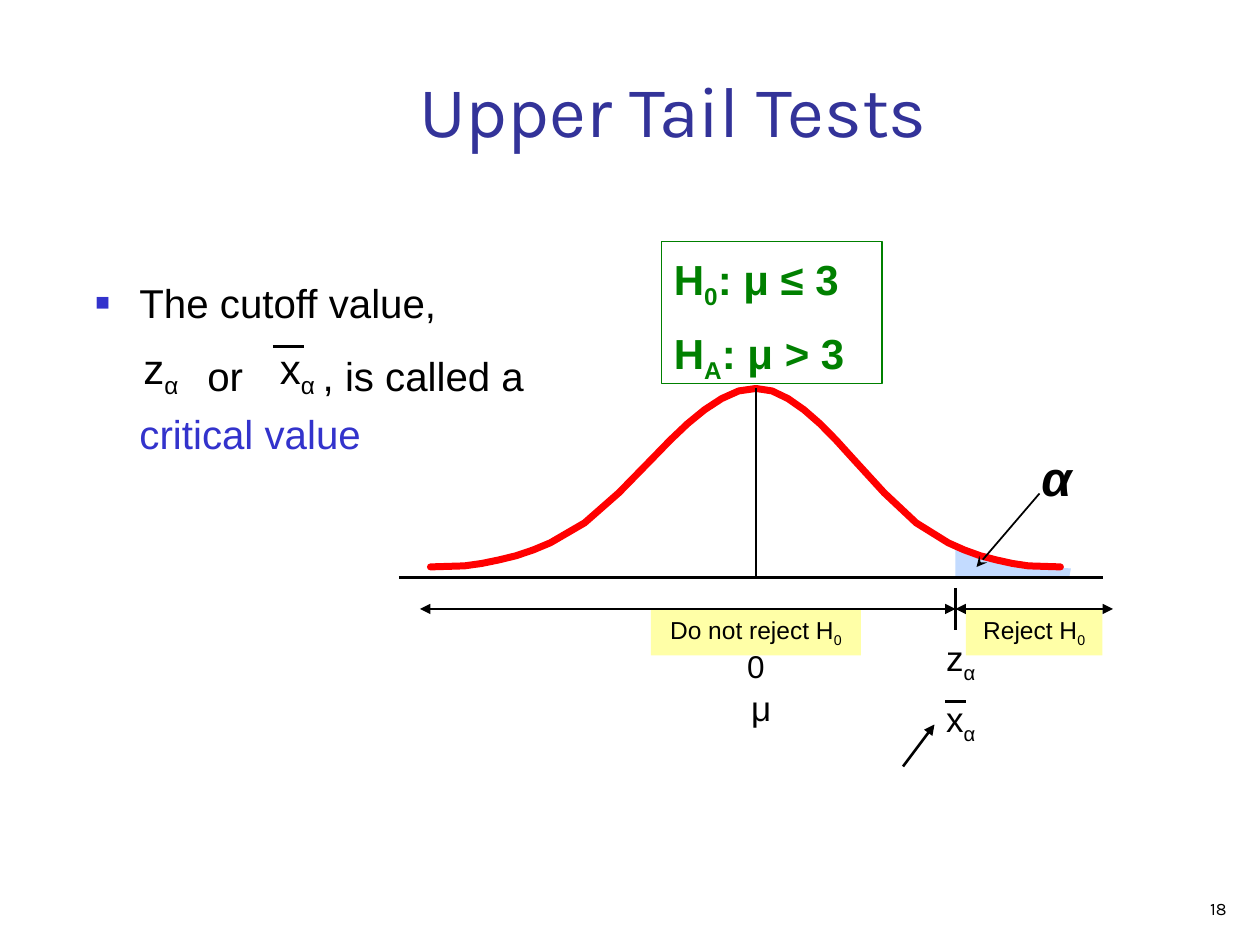
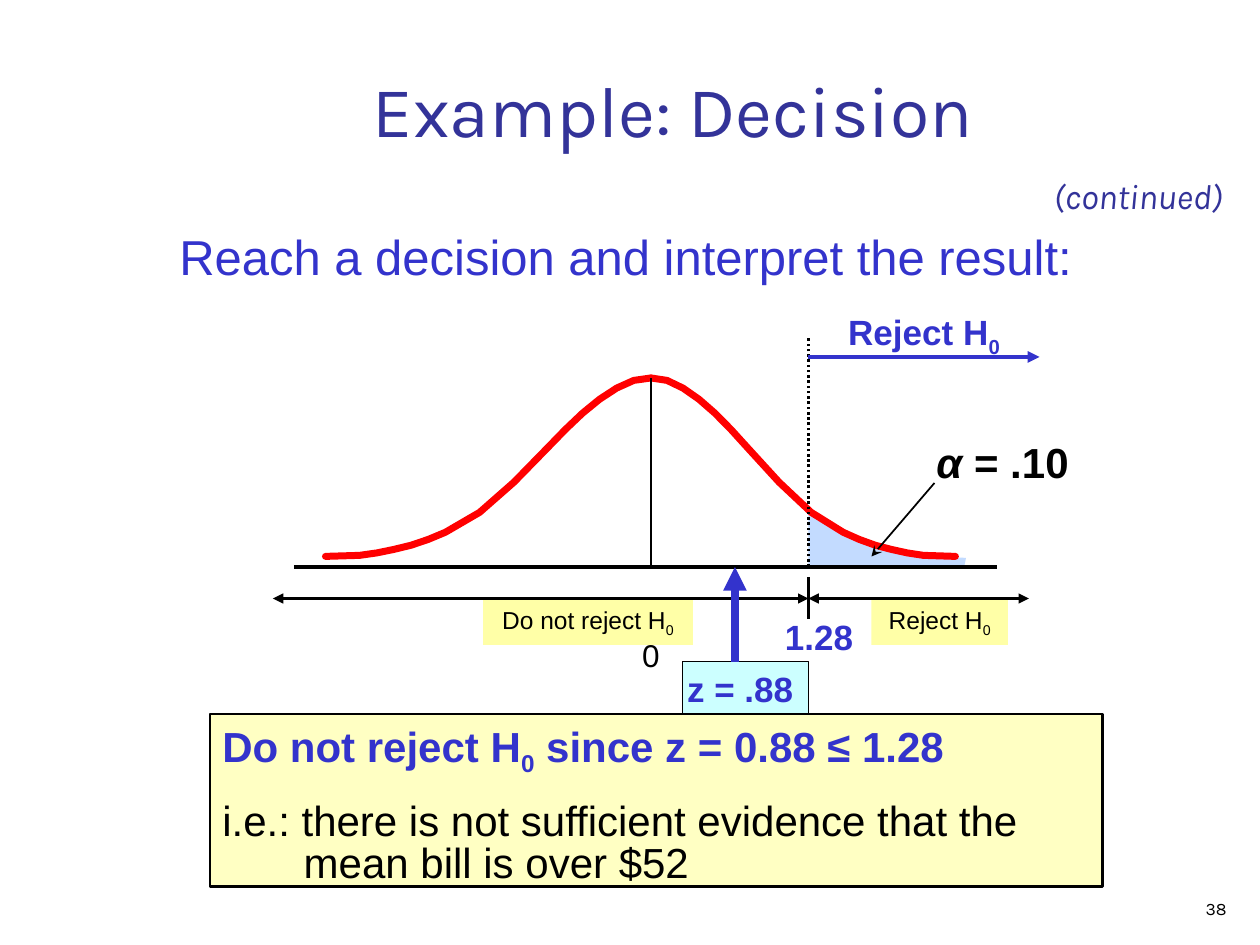
from lxml.etree import SubElement
from pptx import Presentation
from pptx.dml.color import RGBColor
from pptx.enum.dml import MSO_LINE
from pptx.enum.shapes import MSO_CONNECTOR, MSO_SHAPE
from pptx.enum.text import MSO_ANCHOR, MSO_AUTO_SIZE, PP_ALIGN
from pptx.oxml.ns import qn
from pptx.util import Pt

COLORS = dict(black="000000", blue="3333CC", title="333399", green="008000", curve="FF0000",
              tail="C3DBFF", band="FFFFA7", verdict="FFFFC3", score="CCFFFF")
LEFT, CENTER, RIGHT = PP_ALIGN.LEFT, PP_ALIGN.CENTER, PP_ALIGN.RIGHT

# "_" puts the next character in subscript.
TITLES = ["Upper Tail Tests", "Example: Decision"]
PAGE_NUMBERS = ["18", "38"]
CUTOFF_NOTE = [  # pieces, colour, space before, left margin
    (["The cutoff value,"], "black", 0, 25.2),
    (["or", " ", ", is called a"], "black", 8.6, 64),
    (["critical value"], "blue", 0, 25.2),
]
SYMBOL_GAP = 39  # extra width of the space that holds the second symbol
HYPOTHESES = [("H_0: μ ≤ 3", 1.1), ("H_A: μ > 3", 0.7)]
TASK = "Reach a decision and interpret the result:"
VERDICT = [  # text, colour, bold, line spacing, left margin
    ("Do not reject H_0 since z = 0.88 ≤ 1.28", "blue", True, None, 0),
    ("i.e.: there is not sufficient evidence that the", "black", False, 0.8, 0),
    ("mean bill is over $52", "black", False, 0.2, 46.5),
]
# text, left, top, width, height, size
CUTOFF_SYMBOLS = [
    ("z_α", 66, 192, 52, 40, 24),
    ("x_α", 150, 192, 40, 40, 24),
    ("z_α", 528, 360, 42, 35, 20),
    ("x_α", 528, 395, 42, 35, 20),
    ("μ", 414, 389, 42, 32, 20),
]
OVERBARS = [(156, 198, 173.5, 198), (540, 401, 552, 401)]

# Bell curve: offsets from the peak; each half is divided in 19 steps.
CURVE_STEPS = [0, 2, 3, 4, 5, 6, 7, 9, 11, 13, 14, 15, 16, 17, 18, 19]
CURVE_DROPS = [102, 101.4, 100, 98, 95.6, 92.3, 88.2, 76.8, 59.6, 39.6, 29.5, 20.2, 12.2, 5.8, 1.4, 0]
CURVE_HALVES = [-186, 174]
TAIL_EDGE = [(90, 75.6), (114, 90), (123, 94.3), (132, 96.3), (151, 101.4), (180, 102.8)]
AXIS_DROP, RANGE_DROP = 108, 126


def rgb(name):
    return RGBColor.from_string(COLORS[name])


def write(paragraph, text, size, color="black", bold=False, italic=False, font="Arial", gap=0):
    """Append text, with the character after each "_" in subscript and gap added to each character."""
    first, *rest = text.split("_")
    pieces = [(first, False)]
    for part in rest:
        pieces += [(part[0], True), (part[1:], False)]
    for piece, subscript in pieces:
        if not piece:
            continue
        run = paragraph.add_run()
        run.text = piece
        run.font.name, run.font.size = font, Pt(size)
        run.font.bold, run.font.italic = bold, italic
        run.font.color.rgb = rgb(color)
        if subscript:
            run.font._element.set("baseline", "-25000")
        if gap:
            run.font._element.set("spc", str(gap * 100))


def space(paragraph, before=0, lines=None, align=LEFT):
    paragraph.space_before = Pt(before)
    paragraph.alignment = align
    if lines:
        paragraph.line_spacing = lines


def indent(paragraph, margin, first=0):
    properties = paragraph._p.get_or_add_pPr()
    properties.set("marL", str(Pt(margin)))
    properties.set("indent", str(Pt(first)))
    return properties


def no_bullet(paragraph, margin):
    SubElement(indent(paragraph, margin), qn("a:buNone"))


def square_bullet(paragraph, margin):
    bullet = indent(paragraph, margin, -margin)
    color = SubElement(bullet, qn("a:buClr"))
    SubElement(color, qn("a:srgbClr"), val=COLORS["blue"])
    SubElement(bullet, qn("a:buSzPct"), val="60000")
    SubElement(bullet, qn("a:buFont"), typeface="Arial")
    SubElement(bullet, qn("a:buChar"), char="■")


def set_frame(shape, anchor=MSO_ANCHOR.TOP, wrap=True, side=7.2):
    frame = shape.text_frame
    frame.auto_size = MSO_AUTO_SIZE.NONE
    frame.word_wrap, frame.vertical_anchor = wrap, anchor
    frame.margin_left = frame.margin_right = Pt(side)
    frame.margin_top = frame.margin_bottom = Pt(3.6)
    return frame


def place(shape, *box):
    shape.left, shape.top, shape.width, shape.height = map(Pt, box)


def paint(shape, fill=None, line=None, weight=0.75):
    shape.shadow.inherit = False
    if fill:
        shape.fill.solid()
        shape.fill.fore_color.rgb = rgb(fill)
    else:
        shape.fill.background()
    if line:
        shape.line.color.rgb = rgb(line)
        shape.line.width = Pt(weight)
    else:
        shape.line.fill.background()


def add_box(slide, box, **look):
    shape = slide.shapes.add_shape(MSO_SHAPE.RECTANGLE, *map(Pt, box))
    paint(shape, **look)
    return set_frame(shape)


def add_label(slide, text, box, size, align=CENTER, anchor=MSO_ANCHOR.TOP, wrap=True, **style):
    frame = set_frame(slide.shapes.add_textbox(*map(Pt, box)), anchor, wrap)
    paragraph = frame.paragraphs[0]
    space(paragraph, align=align)
    write(paragraph, text, size, **style)
    return paragraph


def add_line(slide, ends, weight=1.5, color="black", head=None, tail=None, dash=None):
    line = slide.shapes.add_connector(MSO_CONNECTOR.STRAIGHT, *map(Pt, ends))
    line.line.color.rgb = rgb(color)
    line.line.width = Pt(weight)
    if dash:
        line.line.dash_style = dash
    outline = line.line._get_or_add_ln()
    for tag, kind in (("a:headEnd", head), ("a:tailEnd", tail)):
        if kind:
            SubElement(outline, qn(tag), type=kind)
    SubElement(line._element.spPr, qn("a:effectLst"))


def add_outline(slide, points, close, **look):
    points = [(Pt(x), Pt(y)) for x, y in points]
    builder = slide.shapes.build_freeform(*points[0])
    builder.add_line_segments(points[1:], close=close)
    shape = builder.convert_to_shape()
    paint(shape, **look)
    return shape


def add_distribution(slide, peak, cutoff, reach, bands, alpha_size, alpha_width):
    """Bell curve at peak; cutoff and reach are offsets, bands the left edges of the two labels."""
    x, y = peak
    axis, ranges = y + AXIS_DROP, y + RANGE_DROP
    limit = x + cutoff

    for text, left, width in zip(["Do not reject H_0", "Reject H_0"], bands, [120, 78]):
        paragraph = add_box(slide, (left, ranges, width, 26.5), fill="band").paragraphs[0]
        space(paragraph, align=CENTER)
        write(paragraph, text, 14)

    edge = [(x + dx, y + dy) for dx, dy in TAIL_EDGE if dx >= cutoff]
    add_outline(slide, [(limit, axis), *edge, (x + 179, axis)], True, fill="tail")
    for half in CURVE_HALVES:
        points = [(x + half * (1 - step / 19), y + drop)
                  for step, drop in zip(CURVE_STEPS, CURVE_DROPS)]
        curve = add_outline(slide, points, False, line="curve", weight=4)
        outline = curve.line._get_or_add_ln()
        outline.set("cap", "rnd")
        SubElement(outline, qn("a:round"))

    add_line(slide, (x - 204, axis, x + 198, axis), 2)
    add_line(slide, (x + 162, y + 60, x + 126, y + 102), 1, tail="stealth")
    add_line(slide, (x, y, x, axis), 0.75)
    add_line(slide, (limit, ranges - 12, limit, ranges + 12))
    for start, end in ((x + reach[0], limit), (limit, x + reach[1])):
        add_line(slide, (start, ranges, end, ranges), head="triangle", tail="triangle")
    add_label(slide, "0", (x - 18, y + 144, 36, 29), 18)
    return add_label(slide, "α", (x + 156, y + 30, alpha_width, 40), alpha_size, LEFT,
                     bold=True, italic=True)


def add_base_slide(deck, title, number):
    slide = deck.slides.add_slide(deck.slide_layouts[1])
    heading = slide.shapes.title
    place(heading, 78, 30.5, 613.5, 60)
    paragraph = set_frame(heading, MSO_ANCHOR.BOTTOM, side=6.5).paragraphs[0]
    space(paragraph, align=CENTER)
    write(paragraph, title, 41, "title", font="Karla")
    add_label(slide, number, (558, 504, 150, 24.5), 10, RIGHT, MSO_ANCHOR.BOTTOM, font="Karla")
    return slide


def body_frame(slide, *box):
    body = slide.placeholders[1]
    place(body, *box)
    return set_frame(body, side=6.5)


def build_upper_tail(slide):
    frame = body_frame(slide, 48, 150, 270, 120)
    for i, (pieces, color, before, margin) in enumerate(CUTOFF_NOTE):
        paragraph = frame.add_paragraph() if i else frame.paragraphs[0]
        (no_bullet if i else square_bullet)(paragraph, margin)
        space(paragraph, before, 1.2)
        for piece in pieces:
            write(paragraph, piece, 23, color, gap=SYMBOL_GAP if piece == " " else 0)

    add_distribution(slide, (432, 222), 114, (-192, 204), (372, 552), 28, 42)
    for text, *box, size in CUTOFF_SYMBOLS:
        add_label(slide, text, box, size)
    for bar in OVERBARS:
        add_line(slide, bar)
    add_line(slide, (516, 438, 534, 414), tail="triangle")

    frame = add_box(slide, (378, 138, 126, 81), line="green")
    for i, (text, lines) in enumerate(HYPOTHESES):
        paragraph = frame.add_paragraph() if i else frame.paragraphs[0]
        space(paragraph, 15 if i else 0, lines)
        write(paragraph, text, 24, "green", bold=True)


def build_decision(slide):
    task = body_frame(slide, 96, 126, 576, 48).paragraphs[0]
    no_bullet(task, 0)
    space(task)
    write(task, TASK, 28, "blue")
    add_label(slide, "(continued)", (595, 96, 114.5, 31.5), 20, LEFT, wrap=False,
              color="title", italic=True, font="Karla")

    alpha = add_distribution(slide, (372, 216), 90, (-216, 216), (276, 498), 24, 96)
    write(alpha, " = .10", 24, bold=True)
    add_label(slide, "1.28", (426, 348, 84, 32), 20, color="blue", bold=True)
    add_line(slide, (462, 324, 462, 192), dash=MSO_LINE.ROUND_DOT)
    add_line(slide, (462, 204, 594, 204), 2.25, "blue", tail="triangle")
    add_label(slide, "Reject H_0", (468, 174, 120, 35), 20, color="blue", bold=True)

    score = add_box(slide, (390, 378, 72, 30), fill="score", line="black")
    score.margin_left, score.margin_right, score.word_wrap = 0, Pt(6), False
    space(score.paragraphs[0], align=CENTER)
    write(score.paragraphs[0], "z = .88", 20, "blue", bold=True)
    add_line(slide, (420, 378, 420, 324), 4.5, "blue", tail="triangle")

    frame = add_box(slide, (120, 408, 510, 98.5), fill="verdict", line="black", weight=1.5)
    for i, (text, color, bold, lines, margin) in enumerate(VERDICT):
        paragraph = frame.add_paragraph() if i else frame.paragraphs[0]
        indent(paragraph, margin)
        space(paragraph, 15 if i else 0, lines)
        write(paragraph, text, 24, color, bold)


def main():
    deck = Presentation()
    deck.slide_width, deck.slide_height = Pt(720), Pt(540)
    for title, number, build in zip(TITLES, PAGE_NUMBERS, (build_upper_tail, build_decision)):
        build(add_base_slide(deck, title, number))
    deck.save("out.pptx")


if __name__ == "__main__":
    main()
